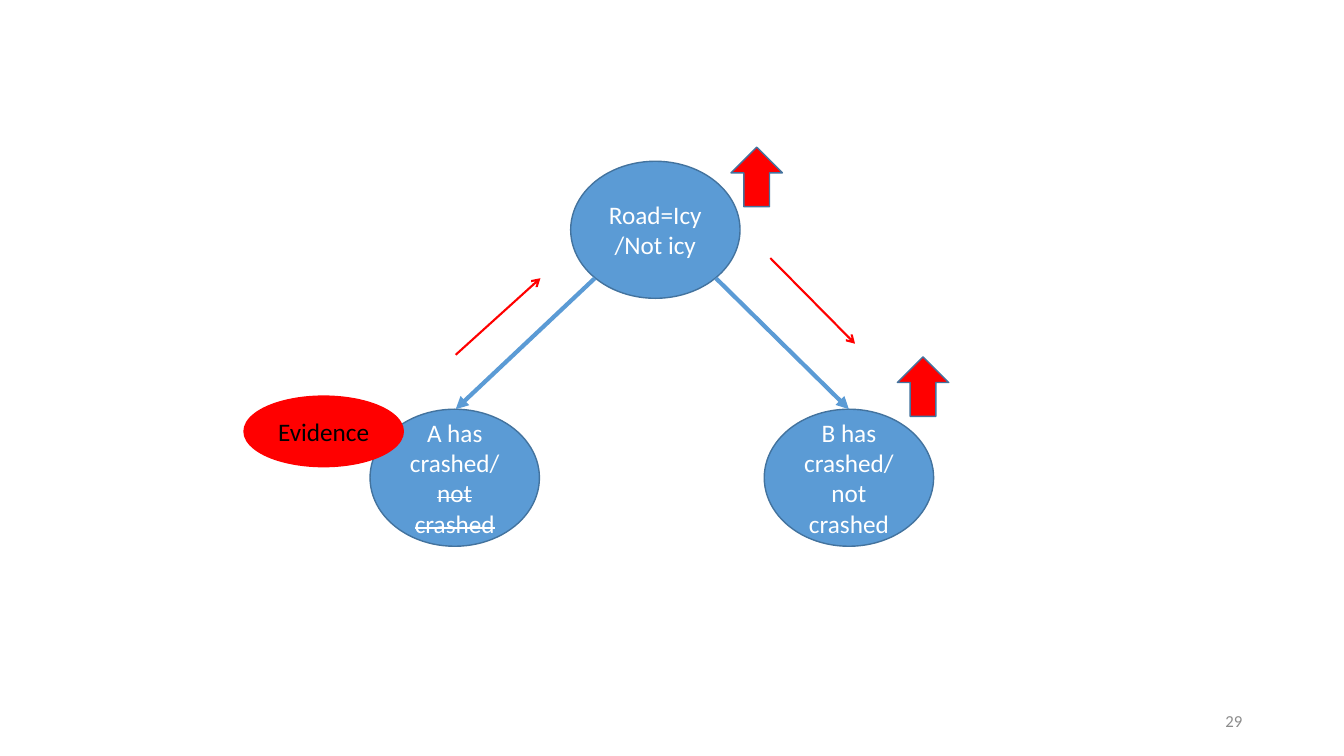
from pptx import Presentation
from pptx.dml.color import RGBColor
from pptx.enum.shapes import MSO_CONNECTOR, MSO_SHAPE
from pptx.enum.text import MSO_ANCHOR, PP_ALIGN
from pptx.oxml.ns import qn
from pptx.util import Inches, Pt
from lxml import etree

ELLIPSE, UP_ARROW = MSO_SHAPE.OVAL, MSO_SHAPE.UP_ARROW
STRAIGHT = MSO_CONNECTOR.STRAIGHT
MIDDLE = MSO_ANCHOR.MIDDLE
CENTER, RIGHT = PP_ALIGN.CENTER, PP_ALIGN.RIGHT
COLORS = {
    name: RGBColor.from_string(value)
    for name, value in {
        "blue": "5B9BD5", "outline": "43739E", "red": "FF0000",
        "white": "FFFFFF", "black": "000000", "gray": "8C8C8C",
    }.items()
}

deck = Presentation()
deck.slide_width, deck.slide_height = Inches(13.33), Inches(7.5)
page = deck.slides.add_slide(deck.slide_layouts[6])


def write(box, text, struck="", size=18, color="white", align=CENTER):
    """Fill a box with text, followed by an optional struck-through part."""
    frame = box.text_frame
    frame.word_wrap = True
    frame.vertical_anchor = MIDDLE
    para = frame.paragraphs[0]
    para.alignment = align
    for part in filter(None, (text, struck)):
        span = para.add_run()
        span.text = part
        span.font.name = "Calibri"
        span.font.size = Pt(size)
        span.font.color.rgb = COLORS[color]
        if part == struck:
            span.font._element.set("strike", "sngStrike")


def add_figure(kind, left, top, width, height, fill, line):
    figure = page.shapes.add_shape(
        kind, Inches(left), Inches(top), Inches(width), Inches(height))
    figure.shadow.inherit = False
    figure.fill.solid()
    figure.fill.fore_color.rgb = COLORS[fill]
    figure.line.color.rgb = COLORS[line]
    figure.line.width = Pt(1)
    return figure


number = page.shapes.add_textbox(Inches(9.42), Inches(6.95), Inches(3), Inches(0.4))
write(number, "29", size=12, color="gray", align=RIGHT)

# Network nodes
for left, top, text, struck in [
    (5.66, 1.6, "Road=Icy/Not icy", ""),
    (3.67, 4.06, "A has crashed/", "not crashed"),
    (7.58, 4.06, "B has crashed/not crashed", ""),
]:
    node = add_figure(ELLIPSE, left, top, 1.68, 1.36, "blue", "outline")
    write(node, text, struck)

# Evidence label, which overlaps node A
evidence = add_figure(ELLIPSE, 2.42, 3.93, 1.58, 0.7, "red", "red")
write(evidence, "Evidence", color="black")

# Blue causal links and red flow of belief
for x1, y1, x2, y2, color, width, head in [
    (5.9, 2.76, 4.52, 4.06, "blue", 3, "triangle"),
    (7.1, 2.76, 8.42, 4.06, "blue", 3, "triangle"),
    (4.52, 3.52, 5.36, 2.76, "red", 1.5, "arrow"),
    (7.64, 2.56, 8.48, 3.41, "red", 1.5, "arrow"),
]:
    link = page.shapes.add_connector(
        STRAIGHT, Inches(x1), Inches(y1), Inches(x2), Inches(y2))
    link.line.color.rgb = COLORS[color]
    link.line.width = Pt(width)
    etree.SubElement(link.line._get_or_add_ln(), qn("a:tailEnd"), type=head)
    etree.SubElement(link._element.spPr, qn("a:effectLst"))

# Rising probabilities
for left, top in [(7.25, 1.46), (8.9, 3.54)]:
    add_figure(UP_ARROW, left, top, 0.51, 0.59, "red", "outline")

deck.save("out.pptx")
